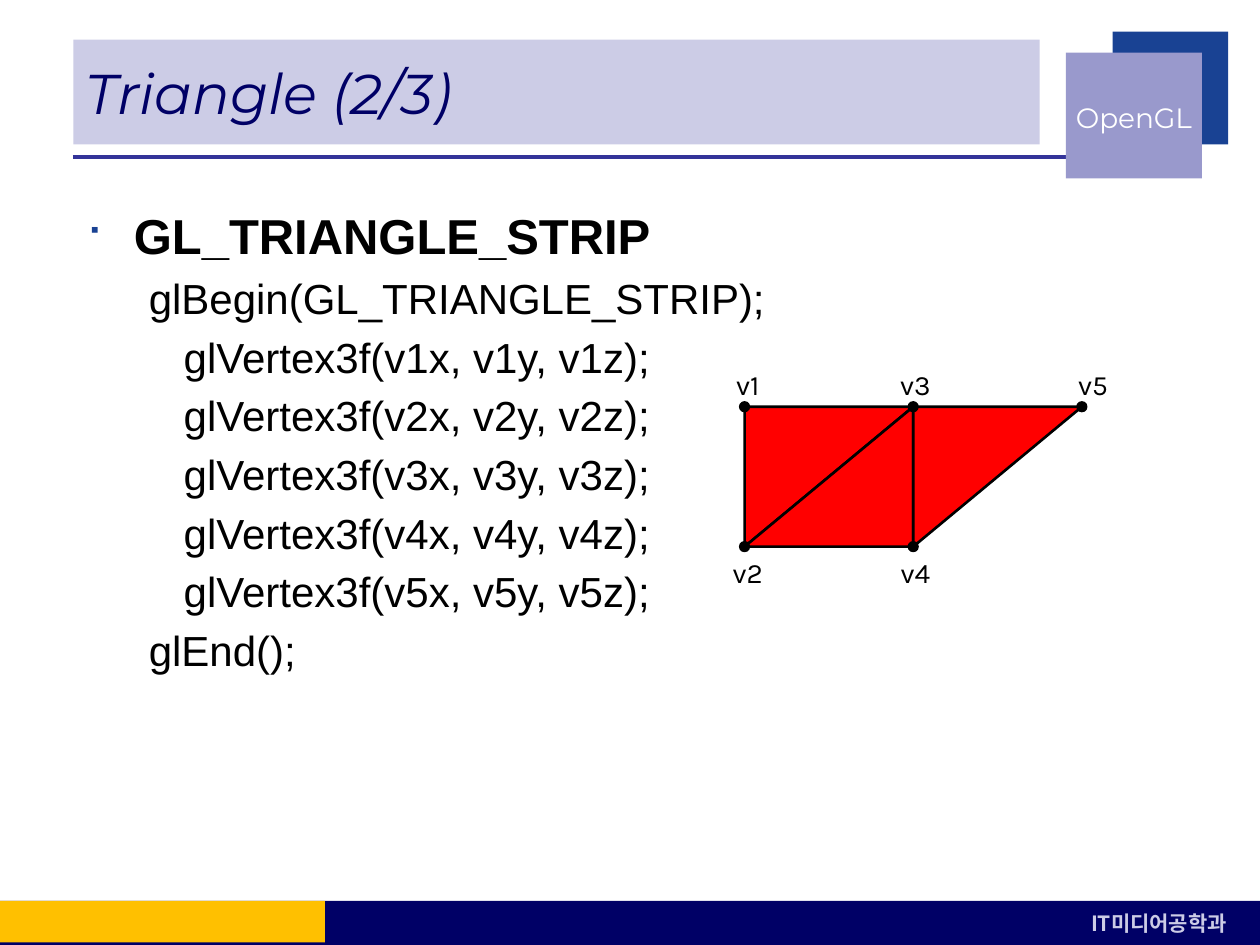
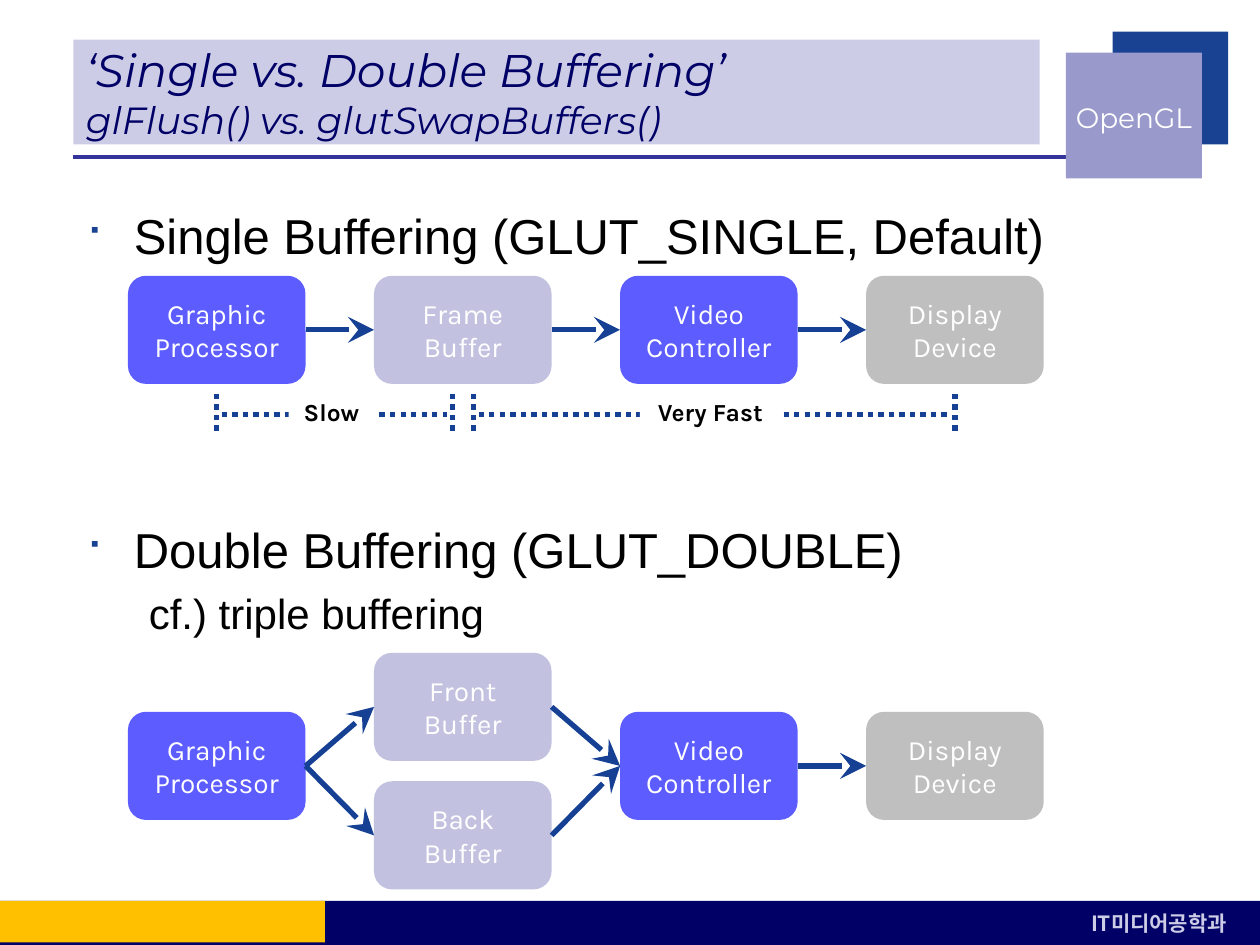
from lxml import etree
from pptx import Presentation
from pptx.dml.color import RGBColor
from pptx.enum.dml import MSO_LINE
from pptx.enum.shapes import MSO_CONNECTOR, MSO_SHAPE
from pptx.enum.text import MSO_ANCHOR, PP_ALIGN
from pptx.oxml.ns import qn
from pptx.util import Cm, Pt

RECTANGLE, ROUNDED = MSO_SHAPE.RECTANGLE, MSO_SHAPE.ROUNDED_RECTANGLE
RIGHT_TRIANGLE, OVAL = MSO_SHAPE.RIGHT_TRIANGLE, MSO_SHAPE.OVAL
STRAIGHT, DOTTED = MSO_CONNECTOR.STRAIGHT, MSO_LINE.ROUND_DOT
LEFT, CENTER, RIGHT = PP_ALIGN.LEFT, PP_ALIGN.CENTER, PP_ALIGN.RIGHT
TOP, MIDDLE = MSO_ANCHOR.TOP, MSO_ANCHOR.MIDDLE
LEFT_SIDE, RIGHT_SIDE = 1, 3

BLACK = RGBColor(0x00, 0x00, 0x00)
WHITE = RGBColor(0xFF, 0xFF, 0xFF)
NAVY = RGBColor(0x00, 0x00, 0x66)
BLUE = RGBColor(0x19, 0x42, 0x93)
ARROW_BLUE = RGBColor(0x15, 0x40, 0x93)
RULE_BLUE = RGBColor(0x33, 0x33, 0x99)
LILAC = RGBColor(0x99, 0x99, 0xCC)
PALE_LILAC = RGBColor(0xCC, 0xCC, 0xE6)
AMBER = RGBColor(0xFF, 0xC0, 0x00)
RED = RGBColor(0xFF, 0x00, 0x00)
UNIT_BLUE = RGBColor(0x5C, 0x5C, 0xFF)
BUFFER_LILAC = RGBColor(0xC2, 0xC2, 0xE0)
DEVICE_GRAY = RGBColor(0xBF, 0xBF, 0xBF)

TITLE_FONT, BODY_FONT = "Montserrat", "Arial"
LABEL_FONT, FOOTER_FONT = "Karla", "Noto Sans CJK KR"

# Content: titles as (text, size), body lines as (text, format)
BULLET = dict(size=28, margin=0.97, indent=-0.97, bullet="■")
DETAIL = dict(size=24, margin=2.06, indent=-0.79, before=4.7)

STRIP_TITLE = [("Triangle (2/3)", 32)]
STRIP_BODY = [
    ("GL_TRIANGLE_STRIP", BULLET | dict(bold=True)),
    ("glBegin(GL_TRIANGLE_STRIP);", DETAIL),
    *[(f"   glVertex3f(v{n}x, v{n}y, v{n}z);", DETAIL) for n in range(1, 6)],
    ("glEnd();", DETAIL),
]
BUFFER_TITLE = [("‘Single vs. Double Buffering’", 26.1),
                ("glFlush() vs. glutSwapBuffers()", 21.6)]
BUFFER_BODY = [
    ("Single Buffering (GLUT_SINGLE, Default)", BULLET),
    ("Double Buffering (GLUT_DOUBLE)", BULLET | dict(before=146)),
    ("cf.) triple buffering", DETAIL),
]

# Stages: name -> (text, column, top, colour)
SINGLE_STAGES = {
    "processor": ("Graphic Processor", 0, 5.56, UNIT_BLUE),
    "frame": ("Frame Buffer", 1, 5.56, BUFFER_LILAC),
    "controller": ("Video Controller", 2, 5.56, UNIT_BLUE),
    "display": ("Display Device", 3, 5.56, DEVICE_GRAY),
}
SINGLE_FLOWS = [("processor", "frame"), ("frame", "controller"),
                ("controller", "display")]
DOUBLE_STAGES = {
    "processor": ("Graphic Processor", 0, 14.35, UNIT_BLUE),
    "front": ("Front Buffer", 1, 13.16, BUFFER_LILAC),
    "back": ("Back Buffer", 1, 15.75, BUFFER_LILAC),
    "controller": ("Video Controller", 2, 14.35, UNIT_BLUE),
    "display": ("Display Device", 3, 14.35, DEVICE_GRAY),
}
DOUBLE_FLOWS = [("processor", "front"), ("processor", "back"),
                ("front", "controller"), ("back", "controller"),
                ("controller", "display")]
# Speed spans: text, left end, right end, label left, label width
SPANS = [("Slow", 4.37, 9.12, 5.82, 1.73),
         ("Very Fast", 9.55, 19.25, 12.9, 2.84)]

# Strip geometry in cm
STRIP_LEFT, STRIP_TOP, STRIP_STEP, STRIP_HEIGHT = 15.01, 8.2, 3.4, 2.82
STRIP_TRIANGLES = [(0, 90), (0, 270), (1, 90)]
LABEL_LEFTS, LABEL_TOPS = [14.48, 17.86, 21.44], [7.29, 11.07]


def write(shape, text, size=16, font=LABEL_FONT, color=BLACK, bold=False,
          italic=False, align=LEFT, anchor=TOP, wrap=True, before=0,
          margin=0, indent=0, bullet=None):
    """Fill the first paragraph of the shape, or add one after it."""
    frame = shape.text_frame
    frame.word_wrap, frame.vertical_anchor = wrap, anchor
    paragraph = frame.add_paragraph() if frame.text else frame.paragraphs[0]
    properties = paragraph._p.get_or_add_pPr()
    properties.set("marL", str(Cm(margin)))
    properties.set("indent", str(Cm(indent)))
    if bullet:
        bullet_color = etree.SubElement(properties, qn("a:buClr"))
        etree.SubElement(bullet_color, qn("a:srgbClr"), val=str(BLUE))
        etree.SubElement(properties, qn("a:buSzPct"), val="80000")
        etree.SubElement(properties, qn("a:buFont"), typeface="Wingdings")
        etree.SubElement(properties, qn("a:buChar"), char=bullet)
    paragraph.alignment = align
    paragraph.space_before = Pt(before)
    run = paragraph.add_run()
    run.text = text
    run.font.size, run.font.name = Pt(size), font
    run.font.bold, run.font.italic = bold, italic
    run.font.color.rgb = color
    etree.SubElement(run._r.rPr, qn("a:ea"), typeface=font)


def add_box(slide, left, top, width, height, fill, kind=RECTANGLE, line=None):
    shape = slide.shapes.add_shape(kind, Cm(left), Cm(top), Cm(width), Cm(height))
    shape.shadow.inherit = False
    shape.fill.solid()
    shape.fill.fore_color.rgb = fill
    if line:
        shape.line.color.rgb, shape.line.width = BLACK, Pt(line)
    else:
        shape.line.fill.background()
    return shape


def add_text_box(slide, left, top, width, height):
    return slide.shapes.add_textbox(Cm(left), Cm(top), Cm(width), Cm(height))


def add_line(slide, x1=0, y1=0, x2=0, y2=0, color=ARROW_BLUE, width=3, dash=None):
    line = slide.shapes.add_connector(STRAIGHT, Cm(x1), Cm(y1), Cm(x2), Cm(y2))
    line.line.color.rgb, line.line.width = color, Pt(width)
    if dash:
        line.line.dash_style = dash
    etree.SubElement(line._element.spPr, qn("a:effectLst"))
    return line


def add_arrow(slide, source, target):
    arrow = add_line(slide)
    arrow.begin_connect(source, RIGHT_SIDE)
    arrow.end_connect(target, LEFT_SIDE)
    etree.SubElement(arrow.line._get_or_add_ln(), qn("a:tailEnd"),
                     type="stealth", w="lg", len="lg")


def add_base_slide(presentation, title, body):
    """Slide with the shared rule, badge, footer, title band and body."""
    slide = presentation.slides.add_slide(presentation.slide_layouts[6])
    add_line(slide, 1.47, 3.17, 21.59, 3.17, color=RULE_BLUE, width=2.25)
    # Badge, with a label box wide enough for one line
    add_box(slide, 22.43, 0.64, 2.33, 2.27, BLUE)
    add_box(slide, 21.49, 1.06, 2.74, 2.54, LILAC)
    badge = add_text_box(slide, 20.78, 1.52, 3.5, 1.7)
    write(badge, "OpenGL", font=TITLE_FONT, color=WHITE, align=RIGHT,
          anchor=MIDDLE)
    # Footer
    add_box(slide, 0, 18.16, 25.4, 0.89, NAVY)
    department = add_box(slide, 21.36, 18.24, 4.01, 0.76, NAVY)
    write(department, "IT미디어공학과", size=12, font=FOOTER_FONT,
          color=PALE_LILAC, bold=True, align=CENTER)
    add_box(slide, 0, 18.16, 6.55, 0.84, AMBER)
    # Title and body
    band = add_box(slide, 1.48, 0.8, 19.48, 2.11, PALE_LILAC)
    for text, size in title:
        write(band, text, size=size, font=TITLE_FONT, color=NAVY, italic=True,
              anchor=MIDDLE)
    body_box = add_text_box(slide, 1.48, 4.02, 22.66, 13.13)
    for text, style in body:
        write(body_box, text, font=BODY_FONT, **style)
    return slide


def add_triangle_strip(slide):
    # Labels and vertices alternate between the top and bottom rows
    for index in range(5):
        column, row = divmod(index, 2)
        label = add_text_box(slide, LABEL_LEFTS[column], LABEL_TOPS[row], 1.19, 1.02)
        write(label, f"v{index + 1}", align=CENTER)
    # A quarter turn swaps the sides, so each triangle is placed by its centre
    for column, rotation in STRIP_TRIANGLES:
        center_x = STRIP_LEFT + (column + 0.5) * STRIP_STEP
        center_y = STRIP_TOP + STRIP_HEIGHT / 2
        triangle = add_box(slide, center_x - STRIP_HEIGHT / 2,
                           center_y - STRIP_STEP / 2, STRIP_HEIGHT, STRIP_STEP,
                           RED, kind=RIGHT_TRIANGLE, line=1.5)
        triangle.rotation = rotation
    for index in range(5):
        column, row = divmod(index, 2)
        add_box(slide, STRIP_LEFT + column * STRIP_STEP - 0.1,
                STRIP_TOP + row * STRIP_HEIGHT - 0.1, 0.2, 0.2,
                BLACK, kind=OVAL, line=0.75)


def add_pipeline(slide, stages, flows):
    boxes = {}
    for name, (text, column, top, color) in stages.items():
        boxes[name] = add_box(slide, 2.58 + 4.96 * column, top, 3.58, 2.18,
                              color, kind=ROUNDED)
        write(boxes[name], text, color=WHITE, align=CENTER, anchor=MIDDLE)
    for source, target in flows:
        add_arrow(slide, boxes[source], boxes[target])


def add_speed_span(slide, text, start, end, label_left, label_width):
    for x in (start, end):
        add_line(slide, x, 7.94, x, 8.74, dash=DOTTED)
    add_line(slide, start + 0.1, 8.36, end - 0.1, 8.36, dash=DOTTED)
    label = add_box(slide, label_left, 7.87, label_width, 0.86, WHITE)
    write(label, text, size=14, bold=True, align=CENTER, wrap=False)


def main():
    presentation = Presentation()
    presentation.slide_width, presentation.slide_height = Cm(25.4), Cm(19.05)

    strip_slide = add_base_slide(presentation, STRIP_TITLE, STRIP_BODY)
    add_triangle_strip(strip_slide)

    buffer_slide = add_base_slide(presentation, BUFFER_TITLE, BUFFER_BODY)
    add_pipeline(buffer_slide, SINGLE_STAGES, SINGLE_FLOWS)
    add_pipeline(buffer_slide, DOUBLE_STAGES, DOUBLE_FLOWS)
    for span in SPANS:
        add_speed_span(buffer_slide, *span)

    presentation.save("out.pptx")


if __name__ == "__main__":
    main()
